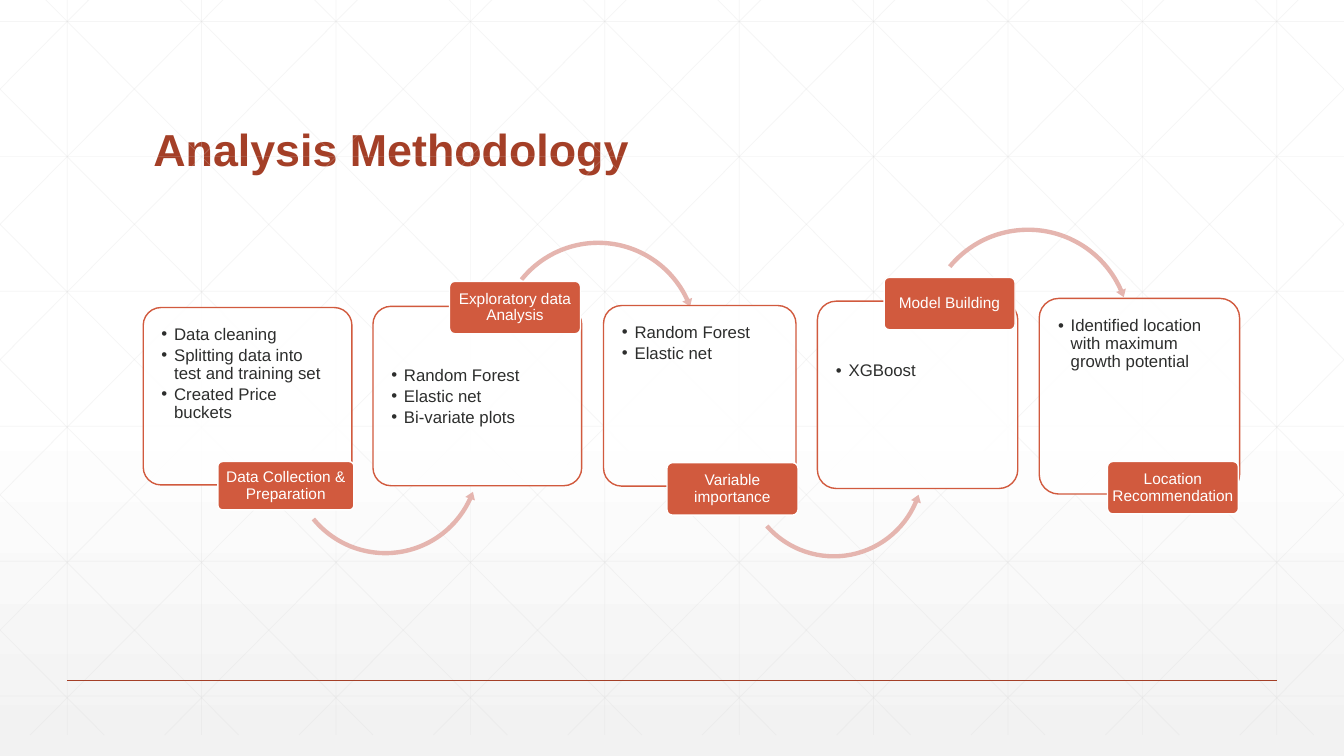
from lxml.etree import SubElement
from pptx import Presentation
from pptx.dml.color import RGBColor
from pptx.enum.shapes import MSO_CONNECTOR as Link, MSO_SHAPE as Kind
from pptx.enum.text import MSO_ANCHOR as Anchor, PP_ALIGN as Align
from pptx.oxml.ns import qn
from pptx.util import Cm, Pt

WIDTH, HEIGHT = 33.87, 19.05
RUST, BRICK, PINK = "A43F27", "D15A3E", "E5B5AF"
WHITE, GREY, INK = "FFFFFF", "D9D9D9", "2D2E2D"

# card box, label box within the card, points, arrow box within the card
# (left, top, size) with its head and tail angles
STEPS = [
    ((3.61, 7.75, 5.26, 4.47), (1.88, 3.88, 3.43, 1.22),
     "Data Collection & Preparation",
     ["Data cleaning", "Splitting data into test and training set",
      "Created Price buckets"],
     (3.63, 1.37, 4.95, 14.71, 84.45)),
    ((9.4, 7.72, 5.26, 4.52), (1.93, -0.63, 3.3, 1.32),
     "Exploratory data Analysis",
     ["Random Forest", "Elastic net", "Bi-variate plots"],
     (3.07, -1.73, 5.21, 201.08, 131.21)),
    ((15.21, 7.7, 4.85, 4.55), (1.6, 3.96, 3.3, 1.32),
     "Variable importance",
     ["Random Forest", "Elastic net"],
     (3.43, 1.7, 4.75, 13.66, 83.27)),
    ((20.6, 7.59, 5.05, 4.72), (1.68, -0.6, 3.3, 1.32),
     "Model Building",
     ["XGBoost"],
     (2.62, -1.93, 5.38, 201.69, 131.72)),
    ((26.19, 7.52, 5.05, 4.93), (1.72, 4.11, 3.3, 1.32),
     "Location Recommendation",
     ["Identified location with maximum growth potential"],
     None),
]


def paint(color, tone, alpha=None):
    """Set a colour from a hex string, with opacity in percent."""
    color.rgb = RGBColor.from_string(tone)
    if alpha:
        node = color._xFill.find(qn("a:srgbClr"))
        SubElement(node, qn("a:alpha"), val=str(alpha * 1000))


def rule(shapes, start, end, tone, width, alpha=None):
    line = shapes.add_connector(Link.STRAIGHT, *map(Cm, start + end))
    line.line.width = Pt(width)
    line.line.fill.solid()
    paint(line.line.fill.fore_color, tone, alpha)
    SubElement(line._element.spPr, qn("a:effectLst"))


def block(slide, kind, box, fill, edge=None, alpha=None):
    shape = slide.shapes.add_shape(kind, *map(Cm, box))
    shape.shadow.inherit = False
    shape.fill.solid()
    paint(shape.fill.fore_color, fill, alpha)
    if edge:
        shape.line.width = Pt(1)
        paint(shape.line.color, edge)
    else:
        shape.line.fill.background()
    return shape


def style(para, size, tone, after=0, bold=False):
    para.line_spacing = 0.9
    para.space_after = Pt(after)
    para.font.name = "Arial"
    para.font.size = Pt(size)
    para.font.bold = bold
    paint(para.font.color, tone)


def pad(frame, side, top):
    frame.word_wrap = True
    frame.margin_left = frame.margin_right = Cm(side)
    frame.margin_top = frame.margin_bottom = Cm(top)


def bullet(para):
    props = para._p.get_or_add_pPr()
    props.set("marL", str(Cm(0.32)))
    props.set("indent", str(-Cm(0.32)))
    SubElement(props, qn("a:buFont"), typeface="Arial")
    SubElement(props, qn("a:buChar"), char="•")


def backdrop(slide):
    fill = slide.background.fill
    fill.gradient()
    fill.gradient_angle = 270
    for stop, place, tone in zip(fill.gradient_stops, (0.53, 1),
                                 (WHITE, "F2F2F2")):
        stop.position = place
        paint(stop.color, tone)


def grid(slide, top, base):
    """Draw upright, level and slanted lines between two heights."""
    shapes = slide.shapes.add_group_shape().shapes
    gap = WIDTH / 10
    lines = [((gap * (i + 0.5), top), (gap * (i + 0.5), base))
             for i in range(10)]
    lines += [((0, 0.54 + 3.4 * i), (WIDTH, 0.54 + 3.4 * i))
              for i in range(6)]
    run = 18.93
    slope = (base - top) / run
    for i in range(-5, 10):
        first = 0.63 + gap * i
        left, right = max(first, 0), min(first + run, WIDTH)
        high, low = (top + (x - first) * slope for x in (left, right))
        lines += [((left, high), (right, low)),
                  ((WIDTH - left, high), (WIDTH - right, low))]
    for start, end in lines:
        rule(shapes, start, end, GREY, 0.5, 25)


def heading(slide, box, text):
    title = slide.shapes.title
    title.left, title.top, title.width, title.height = map(Cm, box)
    frame = title.text_frame
    frame.text = text
    frame.vertical_anchor = Anchor.BOTTOM
    para = frame.paragraphs[0]
    para.alignment = Align.LEFT
    style(para, 32, RUST, bold=True)


def card(slide, box, points, top):
    shape = block(slide, Kind.ROUNDED_RECTANGLE, box, WHITE, BRICK, 90)
    shape.adjustments[0] = 0.1
    frame = shape.text_frame
    frame.vertical_anchor = Anchor.TOP
    pad(frame, 0.33, 0.33)
    frame.margin_top = Cm(top)
    frame.text = "\n".join(points)
    for para in frame.paragraphs:
        para.alignment = Align.LEFT
        bullet(para)
        style(para, 12, INK, 2)


def label(slide, box, text):
    shape = block(slide, Kind.ROUNDED_RECTANGLE, box, BRICK, WHITE)
    shape.adjustments[0] = 0.1
    frame = shape.text_frame
    frame.vertical_anchor = Anchor.MIDDLE
    pad(frame, 0.05, 0.05)
    frame.text = text
    para = frame.paragraphs[0]
    para.alignment = Align.CENTER
    style(para, 11, WHITE)


def arrow(slide, box, over, head, tail):
    """Draw a thin arc arrow, over or under the cards, in a square box."""
    kind = Kind.CIRCULAR_ARROW if over else Kind.LEFT_CIRCULAR_ARROW
    shape = block(slide, kind, box, PINK)
    size = box[2]
    for i, value in enumerate((0.11 / size, 13.6 / size, head, tail,
                               0.13 / size)):
        shape.adjustments[i] = value


def step(slide, box, tag, name, points, arc):
    left, top = box[:2]
    over = tag[1] < 0
    card(slide, box, points, 1.4 if over else 0.33)
    if arc:
        x, y, size, head, tail = arc
        arrow(slide, (left + x, top + y, size, size), over, head, tail)
    label(slide, (left + tag[0], top + tag[1], *tag[2:]), name)


def main():
    deck = Presentation()
    deck.slide_width, deck.slide_height = Cm(WIDTH), Cm(HEIGHT)
    slide = deck.slides.add_slide(deck.slide_layouts[5])
    backdrop(slide)
    grid(slide, -0.53, 18.52)
    rule(slide.shapes, (1.69, 17.15), (32.18, 17.15), RUST, 1)
    heading(slide, (3.61, 1.4, 26.67, 3.18), "Analysis Methodology")
    for parts in STEPS:
        step(slide, *parts)
    deck.save("out.pptx")


if __name__ == "__main__":
    main()
